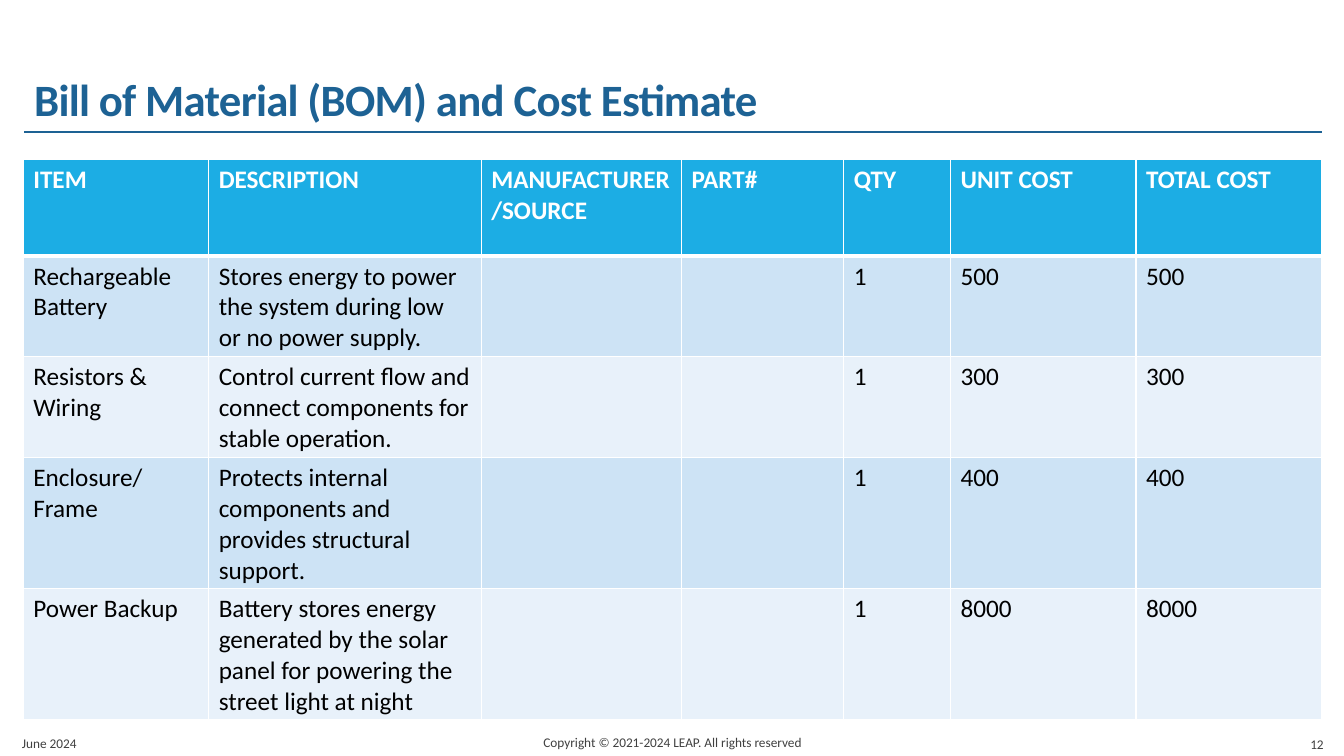
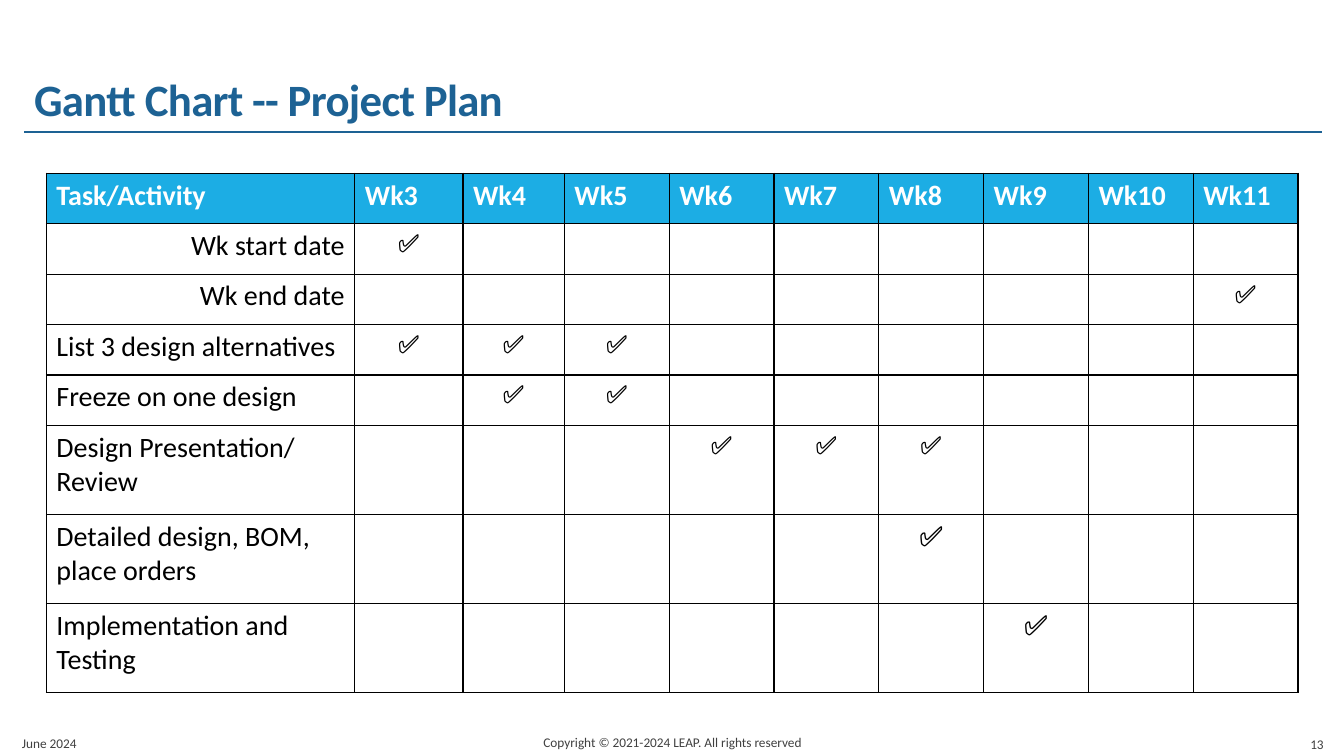
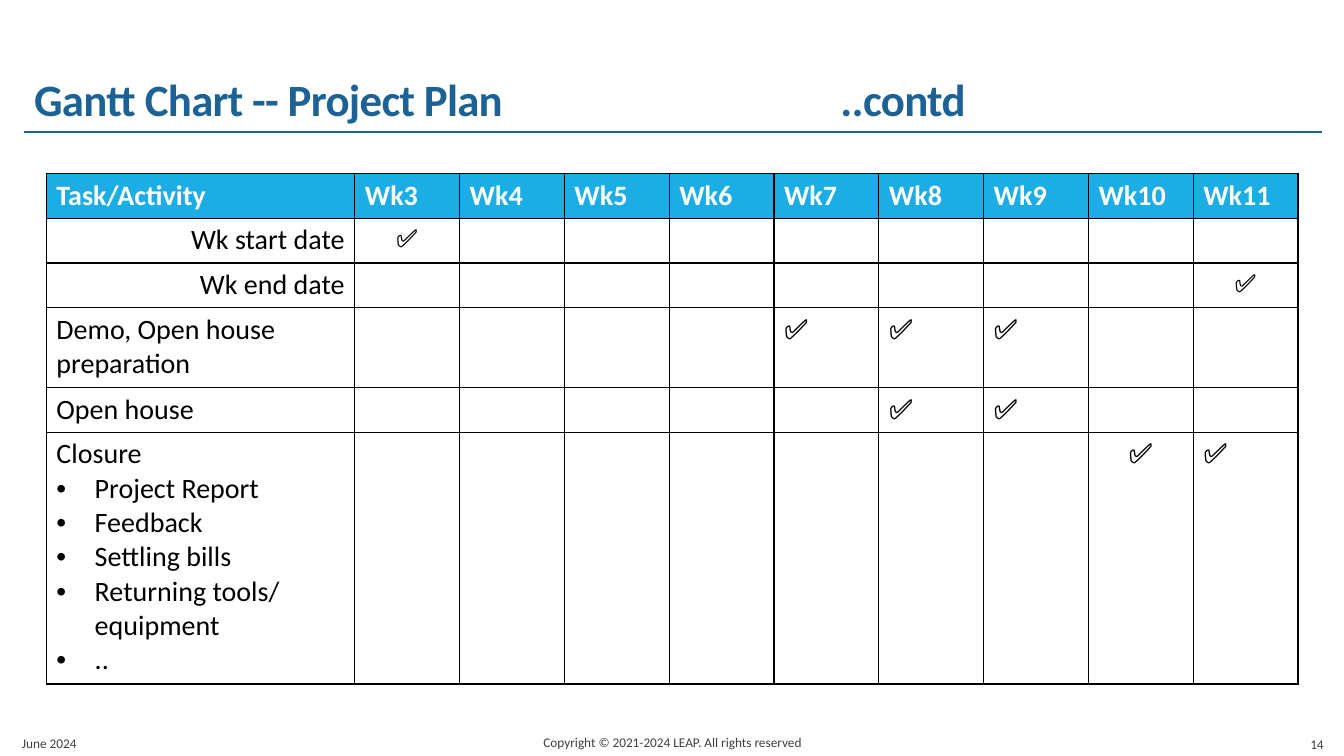
import pptx
import pptx.dml.color
import pptx.enum.shapes
import pptx.enum.text
import pptx.oxml.ns
import pptx.util
from lxml import etree


class Theme:
    font = "Calibri"
    blue = "1D6294"
    cyan = "1CADE4"
    white = "FFFFFF"
    black = "000000"
    gray = "404040"
    bands = ["CDE3F5", "E8F1FA"]
    head = 32
    task = 20
    body = 18
    foot = 9.5


rgb = pptx.dml.color.RGBColor.from_string
qn = pptx.oxml.ns.qn
ways = {
    "l": pptx.enum.text.PP_ALIGN.LEFT,
    "c": pptx.enum.text.PP_ALIGN.CENTER,
    "r": pptx.enum.text.PP_ALIGN.RIGHT,
}

deck = pptx.Presentation()
deck.slide_width = pptx.util.Inches(13.333)
deck.slide_height = pptx.util.Inches(7.5)
col = deck.slide_width / 100
row = deck.slide_height / 100


def write(frame, text, size, color, bold=False, way="l"):
    for i, line in enumerate(text.split("\n")):
        para = frame.add_paragraph() if i else frame.paragraphs[0]
        para.text = line.removeprefix("• ")
        para.alignment = ways[way]
        if line.startswith("• "):
            props = para._p.get_or_add_pPr()
            dent = pptx.util.Inches(0.38)
            props.set("marL", str(dent))
            props.set("indent", str(-dent))
            etree.SubElement(props, qn("a:buFont")).set("typeface", "Arial")
            etree.SubElement(props, qn("a:buChar")).set("char", "•")
        para.font.name = Theme.font
        para.font.size = pptx.util.Pt(size)
        para.font.bold = bold
        para.font.color.rgb = rgb(color)


def edge(cell, color, top, base):
    props = cell._tc.get_or_add_tcPr()
    sides = [("lnL", 1), ("lnR", 1), ("lnT", top), ("lnB", base)]
    for i, (tag, width) in enumerate(sides):
        line = etree.Element(qn("a:" + tag), w=str(pptx.util.Pt(width)))
        fill = etree.SubElement(line, qn("a:solidFill"))
        etree.SubElement(fill, qn("a:srgbClr")).set("val", color)
        props.insert(i, line)


parts = [
    ("Rechargeable Battery",
     "Stores energy to power the system during low or no power supply.", "500"),
    ("Resistors & Wiring",
     "Control current flow and connect components for stable operation.", "300"),
    ("Enclosure/\nFrame",
     "Protects internal components and provides structural support.", "400"),
    ("Power Backup",
     "Battery stores energy generated by the solar panel for powering "
     "the street light at night", "8000"),
]
bom = [["ITEM", "DESCRIPTION", "MANUFACTURER/SOURCE", "PART#", "QTY",
        "UNIT COST", "TOTAL COST"]]
bom += [[name, about, "", "", "1", cost, cost] for name, about, cost in parts]
bom = [[(text, Theme.body, "l") for text in line] for line in bom]

dates = [
    ("Wk start date", "r", Theme.body, "c........"),
    ("Wk end date", "r", Theme.body, "........c"),
]
first = dates + [
    ("List 3 design alternatives", "l", Theme.body, "ccc......"),
    ("Freeze on one design", "l", Theme.body, ".cc......"),
    ("Design Presentation/ Review", "l", Theme.body, "...ccc..."),
    ("Detailed design, BOM, place orders", "l", Theme.task, ".....c..."),
    ("Implementation and Testing", "l", Theme.task, "......c.."),
]
later = dates + [
    ("Demo, Open house preparation", "l", Theme.task, "....lll.."),
    ("Open house", "l", Theme.task, ".....ll.."),
    ("Closure\n• Project Report\n• Feedback\n• Settling bills\n"
     "• Returning tools/ equipment\n• ..", "l", Theme.task, ".......cl"),
]
plans = []
for tasks in (first, later):
    names = ["Task/Activity"] + [f"Wk{week}" for week in range(3, 12)]
    plan = [[(name, Theme.task, "l") for name in names]]
    for task, way, size, marks in tasks:
        plan.append([(task, Theme.task, way)] + [
            ("", size, "l") if mark == "." else ("✅", size, mark)
            for mark in marks])
    plans.append(plan)

pages = [
    ("Bill of Material (BOM) and Cost Estimate", bom, 1.73, 21.07,
     [13.8, 20.28, 14.9, 12.08, 7.95, 13.8, 13.8], [12.8] * 5,
     Theme.white, 3, Theme.bands),
    ("Gantt Chart -- Project Plan", plans[0], 3.45, 22.93,
     [22.95, 8.05, 7.55] + [7.8] * 7, [6.67] * 5 + [11.8] * 3,
     Theme.black, 1, []),
    ("Gantt Chart -- Project Plan\t..contd", plans[1], 3.45, 22.93,
     [22.95] + [7.8] * 9, [5.93] * 3 + [10.53, 5.93, 33.33],
     Theme.black, 1, []),
]

for num, page in enumerate(pages, 12):
    title, cells, left, top, wide, tall, ink, rule, bands = page
    slide = deck.slides.add_slide(deck.slide_layouts[6])

    line = slide.shapes.add_connector(
        pptx.enum.shapes.MSO_CONNECTOR.STRAIGHT,
        int(1.8 * col), int(17.47 * row), int(98.4 * col), int(17.47 * row))
    line.line.color.rgb = rgb(Theme.blue)
    line.line.width = pptx.util.Pt(1)
    etree.SubElement(line._element.spPr, qn("a:effectLst"))

    boxes = [
        (1.8, 4.13, 96.6, 13.2, title, Theme.head, Theme.blue, True, "l"),
        (0.9, 94.67, 20.25, 5.33, "June 2024",
         Theme.foot, Theme.gray, False, "l"),
        (30.3, 94.53, 39.5, 5.33,
         "Copyright © 2021-2024 LEAP. All rights reserved",
         Theme.foot, Theme.gray, False, "c"),
        (88.5, 94.8, 10.73, 5.33, str(num),
         Theme.foot, Theme.gray, False, "r"),
    ]
    for x, y, w, h, text, size, color, bold, way in boxes:
        box = slide.shapes.add_textbox(
            int(x * col), int(y * row), int(w * col), int(h * row))
        frame = box.text_frame
        frame.word_wrap = True
        frame.vertical_anchor = pptx.enum.text.MSO_ANCHOR.BOTTOM
        if size == Theme.head:
            para = frame.paragraphs[0]
            para.line_spacing = 0.85
            tabs = etree.SubElement(para._p.get_or_add_pPr(), qn("a:tabLst"))
            etree.SubElement(tabs, qn("a:tab"), pos=str(int(60 * col)), algn="l")
            para.font._element.set("spc", "-50")
        write(frame, text, size, color, bold, way)

    grid = slide.shapes.add_table(
        len(tall), len(wide), int(left * col), int(top * row),
        int(sum(wide) * col), int(sum(tall) * row)).table
    grid.first_row = False
    grid.horz_banding = False
    for i, share in enumerate(wide):
        grid.columns[i].width = int(share * col)
    for r, share in enumerate(tall):
        grid.rows[r].height = int(share * row)
        for c, (text, size, way) in enumerate(cells[r]):
            cell = grid.cell(r, c)
            if r == 0:
                cell.fill.solid()
                cell.fill.fore_color.rgb = rgb(Theme.cyan)
            elif bands:
                cell.fill.solid()
                cell.fill.fore_color.rgb = rgb(bands[(r - 1) % 2])
            else:
                cell.fill.background()
            edge(cell, ink, rule if r == 1 else 1, rule if r == 0 else 1)
            write(cell.text_frame, text, size,
                  Theme.black if r else Theme.white, r == 0, way)

deck.save("out.pptx")
